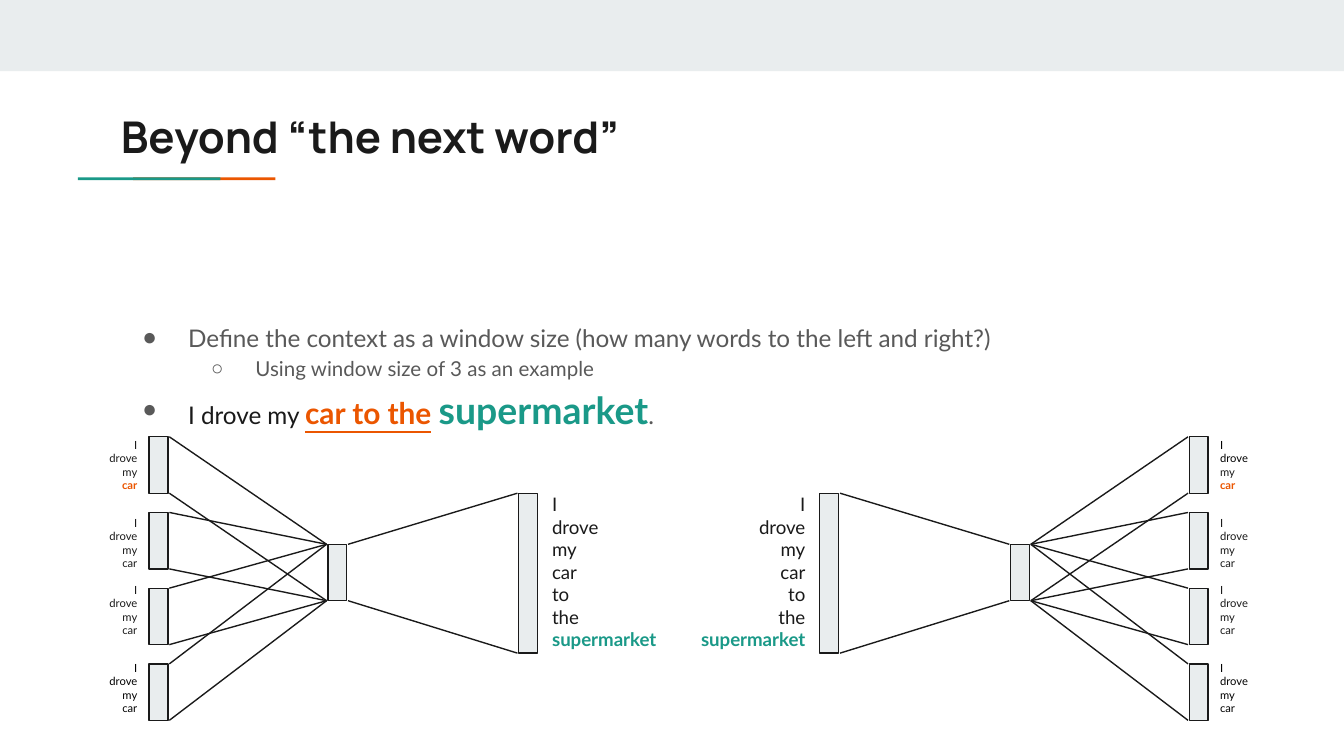
import pptx
import pptx.dml.color
import pptx.enum.shapes
import pptx.enum.text
import pptx.oxml.ns
import pptx.util
from lxml import etree

Inches = pptx.util.Inches
Pt = pptx.util.Pt
Align = pptx.enum.text.PP_ALIGN
Anchor = pptx.enum.text.MSO_ANCHOR
AutoSize = pptx.enum.text.MSO_AUTO_SIZE

COLORS = {
    "band": "E9EDEE",
    "ink": "1A1A1A",
    "black": "000000",
    "gray": "595959",
    "teal": "1A9988",
    "orange": "EB5600",
}

SLIDE_WIDTH = 10
SLIDE_HEIGHT = SLIDE_WIDTH * 9 / 16
MIRROR_WIDTH = 10.1  # left x + mirrored x
BAR_WIDTH = 0.14
BAR_HEIGHT = 0.42
GAP = 0.01  # between a bar and its connectors
CONTEXT_X, HIDDEN_X, VOCAB_X = 1.11, 2.44, 3.86
CONTEXT_TOPS = [3.25 + i * (4.94 - 3.25) / 3 for i in range(4)]
CONTEXT_LABEL_TOPS = [3.16, 3.74, 4.24, 4.82]
HIDDEN_TOP = 4.05
VOCAB_TOP, VOCAB_HEIGHT = 3.67, 1.19
CONTEXT_WORDS = ["I", "drove", "my", "car"]
VOCAB_WORDS = CONTEXT_WORDS + ["to", "the", "supermarket"]


def rgb(color):
    return pptx.dml.color.RGBColor.from_string(COLORS[color])


def add_run(paragraph, text, color, **font_values):
    run = paragraph.add_run()
    run.text = text
    for name, value in {"name": "Lato", "bold": False, **font_values}.items():
        setattr(run.font, name, value)
    run.font.color.rgb = rgb(color)


def prepare_frame(frame, **values):
    for side in ("left", "right", "top", "bottom"):
        setattr(frame, f"margin_{side}", Inches(0.1))
    for name, value in {"word_wrap": True, "vertical_anchor": Anchor.TOP, **values}.items():
        setattr(frame, name, value)


def place(shape, left, top, width, height):
    box = {"left": left, "top": top, "width": width, "height": height}
    for name, value in box.items():
        setattr(shape, name, Inches(value))


def add_rect(slide, left, top, width, height, fill, outlined=False):
    rect = slide.shapes.add_shape(
        pptx.enum.shapes.MSO_SHAPE.RECTANGLE,
        Inches(left), Inches(top), Inches(width), Inches(height))
    rect.shadow.inherit = False
    rect.fill.solid()
    rect.fill.fore_color.rgb = rgb(fill)
    if outlined:
        rect.line.color.rgb = rgb("ink")
        rect.line.width = Pt(0.75)
    else:
        rect.line.fill.background()


def add_line(slide, x1, y1, x2, y2):
    line = slide.shapes.add_connector(
        pptx.enum.shapes.MSO_CONNECTOR.STRAIGHT,
        Inches(x1), Inches(y1), Inches(x2), Inches(y2))
    line.line.color.rgb = rgb("ink")
    line.line.width = Pt(0.75)
    etree.SubElement(line._element.spPr, pptx.oxml.ns.qn("a:effectLst"))


def add_words(slide, box, words, colors, size, align):
    """Stack words one per line; the accented ones are bold."""
    label = slide.shapes.add_textbox(*(Inches(value) for value in box))
    frame = label.text_frame
    prepare_frame(frame, auto_size=AutoSize.SHAPE_TO_FIT_TEXT)
    for i, (word, color) in enumerate(zip(words, colors)):
        paragraph = frame.paragraphs[0] if i == 0 else frame.add_paragraph()
        paragraph.alignment = align
        add_run(paragraph, word, color, size=Pt(size), bold=color in ("teal", "orange"))


def add_bullet(paragraph, symbol, level, margin, indent):
    paragraph.level = level
    properties = paragraph._p.get_or_add_pPr()
    properties.set("marL", str(Inches(margin)))
    properties.set("indent", str(Inches(indent)))
    bullet_color = etree.SubElement(properties, pptx.oxml.ns.qn("a:buClr"))
    etree.SubElement(bullet_color, pptx.oxml.ns.qn("a:srgbClr"), val=COLORS["gray"])
    etree.SubElement(properties, pptx.oxml.ns.qn("a:buChar"), char=symbol)
    paragraph.line_spacing = 1.15
    paragraph.space_before = Pt(0)


def fill_title(title):
    place(title, 0.8, 0.72, 8.41, 0.59)
    prepare_frame(title.text_frame, auto_size=AutoSize.NONE)
    heading = title.text_frame.paragraphs[0]
    heading.alignment = Align.LEFT
    add_run(heading, "Beyond “the next word”", "ink", name="Manrope", size=Pt(23.4), bold=True)


def fill_body(body):
    place(body, 0.8, 2.27, 8.41, 2.47)
    frame = body.text_frame
    prepare_frame(frame, auto_size=AutoSize.NONE)

    definition = frame.paragraphs[0]
    add_bullet(definition, "●", 0, 0.5, -0.34)
    add_run(definition,
            "Define the context as a window size (how many words to the left and right?)",
            "gray", size=Pt(13))

    example = frame.add_paragraph()
    add_bullet(example, "○", 1, 1, -0.33)
    add_run(example, "Using window size of 3 as an example", "gray", size=Pt(11))

    sentence = frame.add_paragraph()
    add_bullet(sentence, "●", 0, 0.5, -0.34)
    add_run(sentence, "I drove my ", "ink", size=Pt(13))
    add_run(sentence, "car to the", "orange", size=Pt(16), bold=True, underline=True)
    add_run(sentence, " ", "teal", size=Pt(16), bold=True)
    add_run(sentence, "supermarket", "teal", size=Pt(20), bold=True)
    add_run(sentence, ".", "gray", size=Pt(13))


def add_network(slide, mirrored):
    """Draw context bars, hidden bar and vocabulary bar, left to right or mirrored."""
    def flip(x, width=0):
        return MIRROR_WIDTH - x - width if mirrored else x

    def add_bar(x, top, height):
        add_rect(slide, flip(x, BAR_WIDTH), top, BAR_WIDTH, height, "band", outlined=True)

    def join(start_bar, start_top, start_height, end_bar, end_top, end_height):
        start_x = flip(start_bar + BAR_WIDTH + GAP)
        end_x = flip(end_bar - GAP)
        add_line(slide, start_x, start_top, end_x, end_top)
        add_line(slide, start_x, start_top + start_height, end_x, end_top + end_height)

    outer, inner = (Align.LEFT, Align.RIGHT) if mirrored else (Align.RIGHT, Align.LEFT)
    opening = "black" if mirrored else "ink"
    label_colors = [[opening, opening, "ink", "orange"],
                    ["ink"] * 4, ["ink"] * 4, ["black"] * 4]

    add_bar(HIDDEN_X, HIDDEN_TOP, BAR_HEIGHT)
    add_bar(VOCAB_X, VOCAB_TOP, VOCAB_HEIGHT)
    join(HIDDEN_X, HIDDEN_TOP, BAR_HEIGHT, VOCAB_X, VOCAB_TOP, VOCAB_HEIGHT)
    for top, label_top, colors in zip(CONTEXT_TOPS, CONTEXT_LABEL_TOPS, label_colors):
        add_bar(CONTEXT_X, top, BAR_HEIGHT)
        join(CONTEXT_X, top, BAR_HEIGHT, HIDDEN_X, HIDDEN_TOP, BAR_HEIGHT)
        add_words(slide, (flip(0.68, 0.44), label_top, 0.44, 0.61),
                  CONTEXT_WORDS, colors, 6, outer)
    add_words(slide, (flip(4.01, 1.17), 3.57, 1.17, 1.38),
              VOCAB_WORDS, ["ink"] * 6 + ["teal"], 10, inner)


def main():
    deck = pptx.Presentation()
    deck.slide_width, deck.slide_height = Inches(SLIDE_WIDTH), Inches(SLIDE_HEIGHT)
    slide = deck.slides.add_slide(deck.slide_layouts[1])
    fill_title(slide.shapes.title)
    fill_body(slide.placeholders[1])
    add_rect(slide, 0, 0, SLIDE_WIDTH, 0.53, "band")
    for left, color in ((0.99, "orange"), (0.58, "teal")):
        add_rect(slide, left, 1.32, 1.06, 0.02, color)
    for mirrored in (True, False):
        add_network(slide, mirrored)
    deck.save("out.pptx")


if __name__ == "__main__":
    main()
